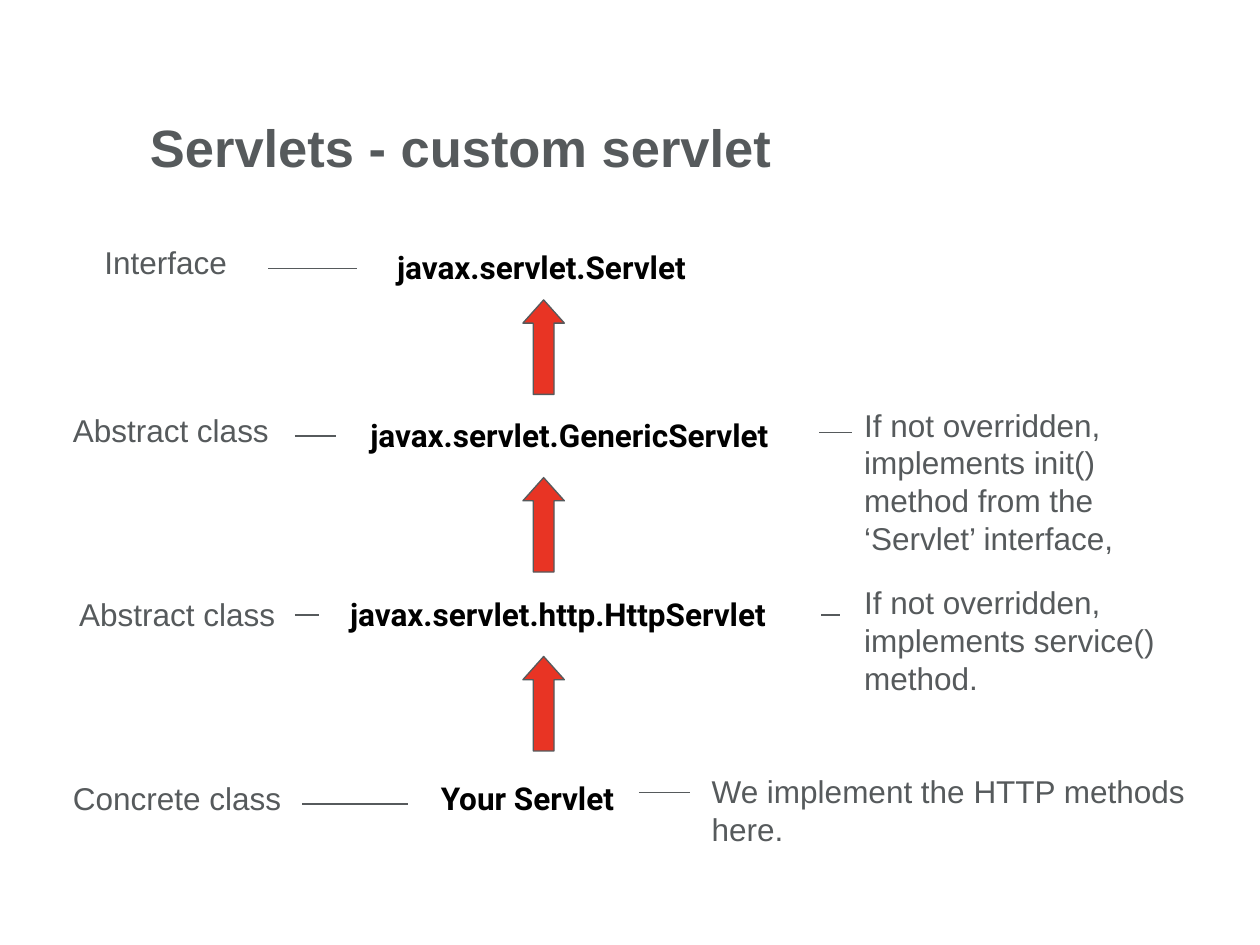
from lxml import etree
from pptx import Presentation
from pptx.dml.color import RGBColor
from pptx.enum.shapes import MSO_CONNECTOR, MSO_SHAPE
from pptx.enum.text import MSO_ANCHOR, MSO_AUTO_SIZE, PP_ALIGN
from pptx.oxml.ns import qn
from pptx.util import Inches, Pt

UP_ARROW = MSO_SHAPE.UP_ARROW
RECTANGLE = MSO_SHAPE.RECTANGLE
STRAIGHT = MSO_CONNECTOR.STRAIGHT
MIDDLE = MSO_ANCHOR.MIDDLE
LEFT = PP_ALIGN.LEFT
FIT_SHAPE = MSO_AUTO_SIZE.SHAPE_TO_FIT_TEXT

GRAY = "565A5C"
RED = "E83424"
BLACK = "000000"
WHITE = "FFFFFF"

CLASS_NAMES = [
    (" javax.servlet.Servlet", (2.99, 1.92, 3.31, 0.71), True),
    ("javax.servlet.GenericServlet", (2.84, 3.25, 3.62, 0.4), False),
    ("javax.servlet.http.HttpServlet", (2.68, 4.67, 3.77, 0.4), False),
    ("Your Servlet", (3.4, 6.13, 1.67, 0.4), False),
]
KINDS = [
    ("Interface", (0.73, 1.88, 1.17, 0.4)),
    ("Abstract class", (0.48, 3.21, 1.76, 0.4)),
    ("Abstract class", (0.53, 4.67, 1.76, 0.4)),
    ("Concrete class", (0.48, 6.13, 1.85, 0.4)),
]
NOTES = [
    ("If not overridden, implements init()\nmethod from the ‘Servlet’ interface,",
     (6.76, 3.17, 2.86, 1.31), True),
    ("If not overridden, implements service()\nmethod.",
     (6.76, 4.58, 3.13, 1.01), True),
    ("We implement the HTTP methods\nhere.", (5.55, 6.08, 4.03, 0.7), False),
]
LINKS = [
    (2.13, 2.83, 2.13), (2.34, 2.67, 3.46), (2.34, 2.53, 4.88), (2.4, 3.24, 6.38),
    (6.5, 6.76, 3.43), (6.52, 6.67, 4.88), (5.07, 5.48, 6.29),
]
ARROW_TOPS = [2.38, 3.79, 5.21]


def color(hex_string):
    """Return the colour for a hex string."""
    return RGBColor.from_string(hex_string)


def write_text(shape, text, *, font="Arial", size=18, fill=GRAY, bold=False, wrap=True):
    """Fill a shape with left-aligned text, one paragraph per line."""
    frame = shape.text_frame
    frame.word_wrap = wrap
    frame.text = text
    for paragraph in frame.paragraphs:
        paragraph.alignment = LEFT
        paragraph.font.name = font
        paragraph.font.size = Pt(size)
        paragraph.font.bold = bold
        paragraph.font.color.rgb = color(fill)
    return frame


def add_label(slide, text, box, **text_format):
    """Add a text box that grows with its text."""
    shape = slide.shapes.add_textbox(*map(Inches, box))
    write_text(shape, text, **text_format).auto_size = FIT_SHAPE


def add_title(slide, text):
    """Add the title on a white rectangle."""
    shape = slide.shapes.add_shape(RECTANGLE, *map(Inches, (1.15, 0.84, 4.98, 0.65)))
    shape.shadow.inherit = False
    shape.fill.solid()
    shape.fill.fore_color.rgb = color(WHITE)
    shape.line.fill.background()
    frame = write_text(shape, text, size=30, bold=True)
    frame.vertical_anchor = MIDDLE
    frame.margin_left = Inches(0.04)
    frame.margin_top = frame.margin_right = frame.margin_bottom = 0


def style_line(line):
    """Give a line the thin gray style."""
    line.color.rgb = color(GRAY)
    line.width = Pt(0.75)


def add_link(slide, start, end, y):
    """Add a horizontal line between a class and its description."""
    connector = slide.shapes.add_connector(
        STRAIGHT, Inches(start), Inches(y), Inches(end), Inches(y))
    style_line(connector.line)
    etree.SubElement(connector._element.spPr, qn("a:effectLst"))


def add_inheritance_arrow(slide, top):
    """Add a red arrow pointing to the parent class."""
    shape = slide.shapes.add_shape(UP_ARROW, *map(Inches, (4.15, top, 0.33, 0.75)))
    shape.shadow.inherit = False
    shape.adjustments[0] = 0.5
    shape.adjustments[1] = 0.56
    shape.fill.solid()
    shape.fill.fore_color.rgb = color(RED)
    style_line(shape.line)


def main():
    """Build the servlet hierarchy slide."""
    presentation = Presentation()
    presentation.slide_width = Inches(10)
    presentation.slide_height = Inches(7.5)
    slide = presentation.slides.add_slide(presentation.slide_layouts[6])
    add_title(slide, "Servlets - custom servlet")
    for text, box, wrap in CLASS_NAMES:
        add_label(slide, text, box, font="Roboto", fill=BLACK, bold=True, wrap=wrap)
    for text, box in KINDS:
        add_label(slide, text, box, wrap=False)
    for text, box, wrap in NOTES:
        add_label(slide, text, box, wrap=wrap)
    for start, end, y in LINKS:
        add_link(slide, start, end, y)
    for top in ARROW_TOPS:
        add_inheritance_arrow(slide, top)
    presentation.save("out.pptx")


if __name__ == "__main__":
    main()
